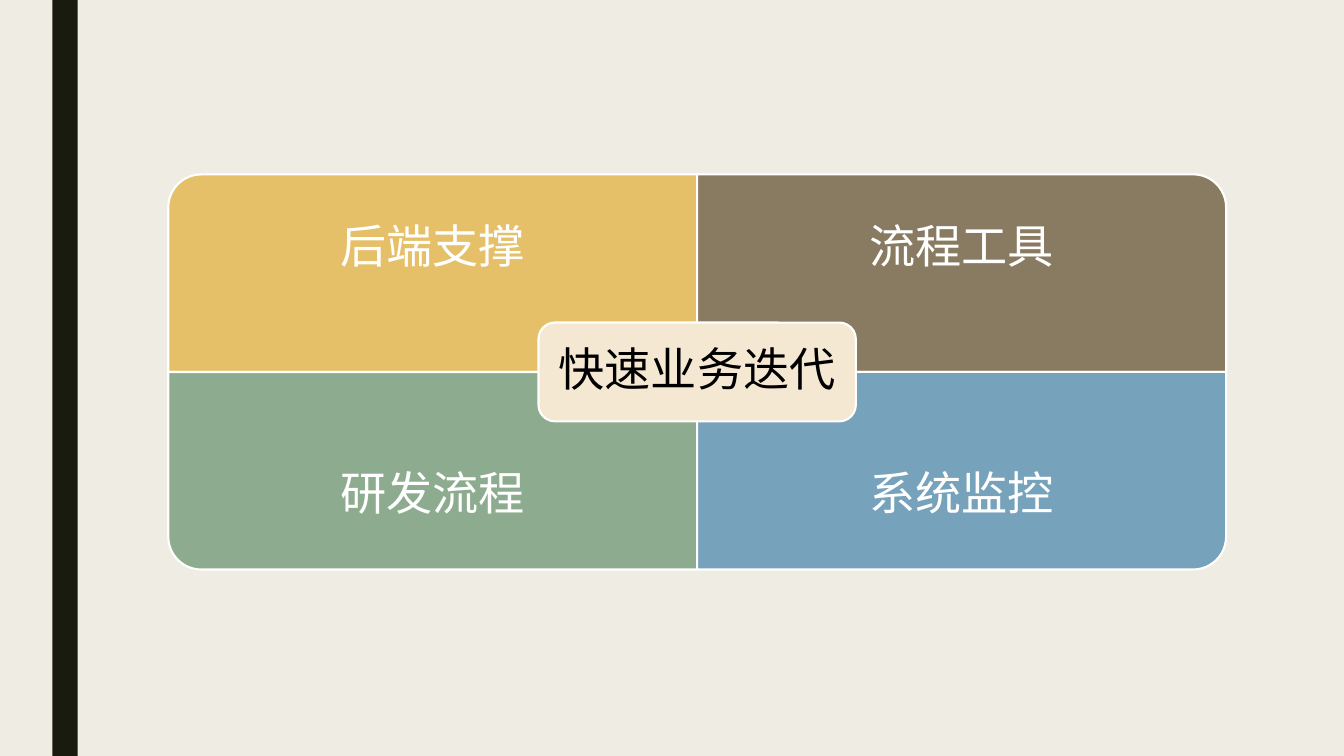
from pptx import Presentation
from pptx.dml.color import RGBColor
from pptx.enum.shapes import MSO_SHAPE
from pptx.enum.text import MSO_ANCHOR, PP_ALIGN
from pptx.util import Inches, Pt

HUES = {
    "back": "EFEDE3", "bar": "191B0E", "white": "FFFFFF", "black": "000000",
    "gold": "E6C068", "brown": "897B61", "green": "8DAB8E", "blue": "77A2BB",
    "cream": "F5E8D3",
}


class Deck:
    font = "Arial"
    size = 33
    edge = 1.5

    def __init__(self, wide, high):
        self.file = Presentation()
        self.file.slide_width = Inches(wide)
        self.file.slide_height = Inches(high)
        self.slide = self.file.slides.add_slide(self.file.slide_layouts[6])

    def hue(self, name):
        return RGBColor.from_string(HUES[name])

    def ground(self, name):
        fill = self.slide.background.fill
        fill.solid()
        fill.fore_color.rgb = self.hue(name)

    def shape(self, kind, box, fill, line=None, turn=0):
        x, y, w, h = box
        if turn % 180:  # a quarter turn swaps the sides about the centre
            x, y, w, h = x + (w - h) / 2, y + (h - w) / 2, h, w
        item = self.slide.shapes.add_shape(kind, *map(Inches, (x, y, w, h)))
        item.rotation = turn
        item.shadow.inherit = False
        item.fill.solid()
        item.fill.fore_color.rgb = self.hue(fill)
        if line:
            item.line.color.rgb = self.hue(line)
            item.line.width = Pt(self.edge)
        else:
            item.line.fill.background()

    def text(self, box, words, color, inset):
        frame = self.slide.shapes.add_textbox(*map(Inches, box)).text_frame
        frame.word_wrap = True
        frame.vertical_anchor = MSO_ANCHOR.MIDDLE
        frame.margin_left = frame.margin_right = Inches(inset)
        frame.margin_top = frame.margin_bottom = Inches(inset)
        para = frame.paragraphs[0]
        para.alignment = PP_ALIGN.CENTER
        para.line_spacing = 0.9
        para.space_after = Pt(14.4)
        run = para.add_run()
        run.text = words
        run.font.name = self.font
        run.font.size = Pt(self.size)
        run.font.color.rgb = self.hue(color)


def main():
    deck = Deck(13.34, 7.5)

    # Background and side bar
    deck.ground("back")
    deck.shape(MSO_SHAPE.RECTANGLE, (0.52, 0, 0.25, 7.5), "bar")

    # Four quarters, each with its outer corner rounded
    left, top, wide, high = 1.67, 1.73, 5.25, 1.96
    label = high * 0.75
    parts = [
        ("后端支撑", "gold", 270), ("流程工具", "brown", 0),
        ("研发流程", "green", 180), ("系统监控", "blue", 90),
    ]
    for i, (words, fill, turn) in enumerate(parts):
        row, col = divmod(i, 2)
        x, y = left + col * wide, top + row * high
        deck.shape(MSO_SHAPE.ROUND_1_RECTANGLE, (x, y, wide, high),
                   fill, "white", turn)
        deck.text((x, y + row * (high - label), wide, label),
                  words, "white", 0.26)

    # Centre label
    w, h, pad = wide * 0.6, high / 2, 0.05
    x, y = left + wide - w / 2, top + high - h / 2
    deck.shape(MSO_SHAPE.ROUNDED_RECTANGLE, (x, y, w, h), "cream", "white")
    deck.text((x + pad, y + pad, w - 2 * pad, h - 2 * pad),
              "快速业务迭代", "black", 0.14)

    deck.file.save("out.pptx")


if __name__ == "__main__":
    main()
